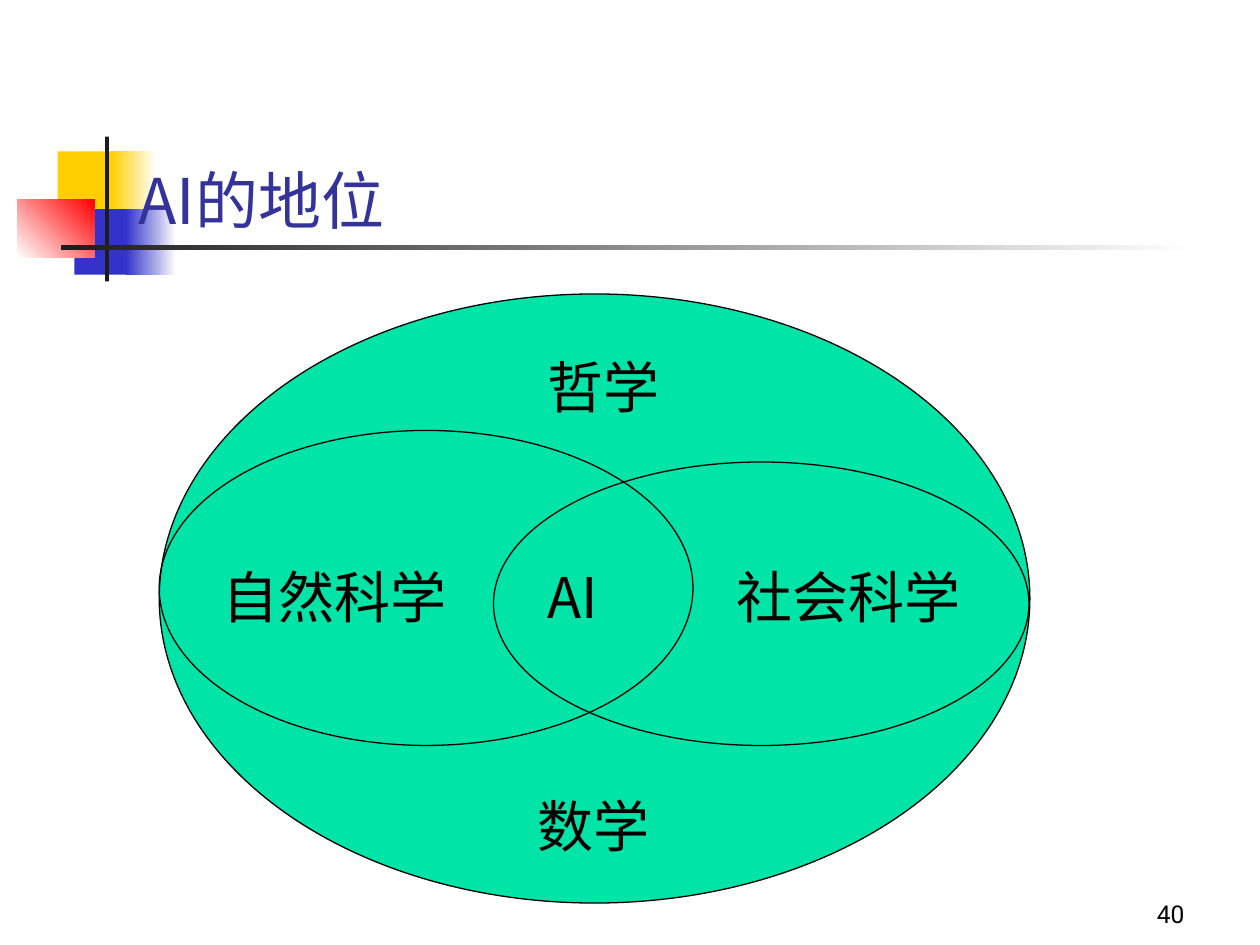
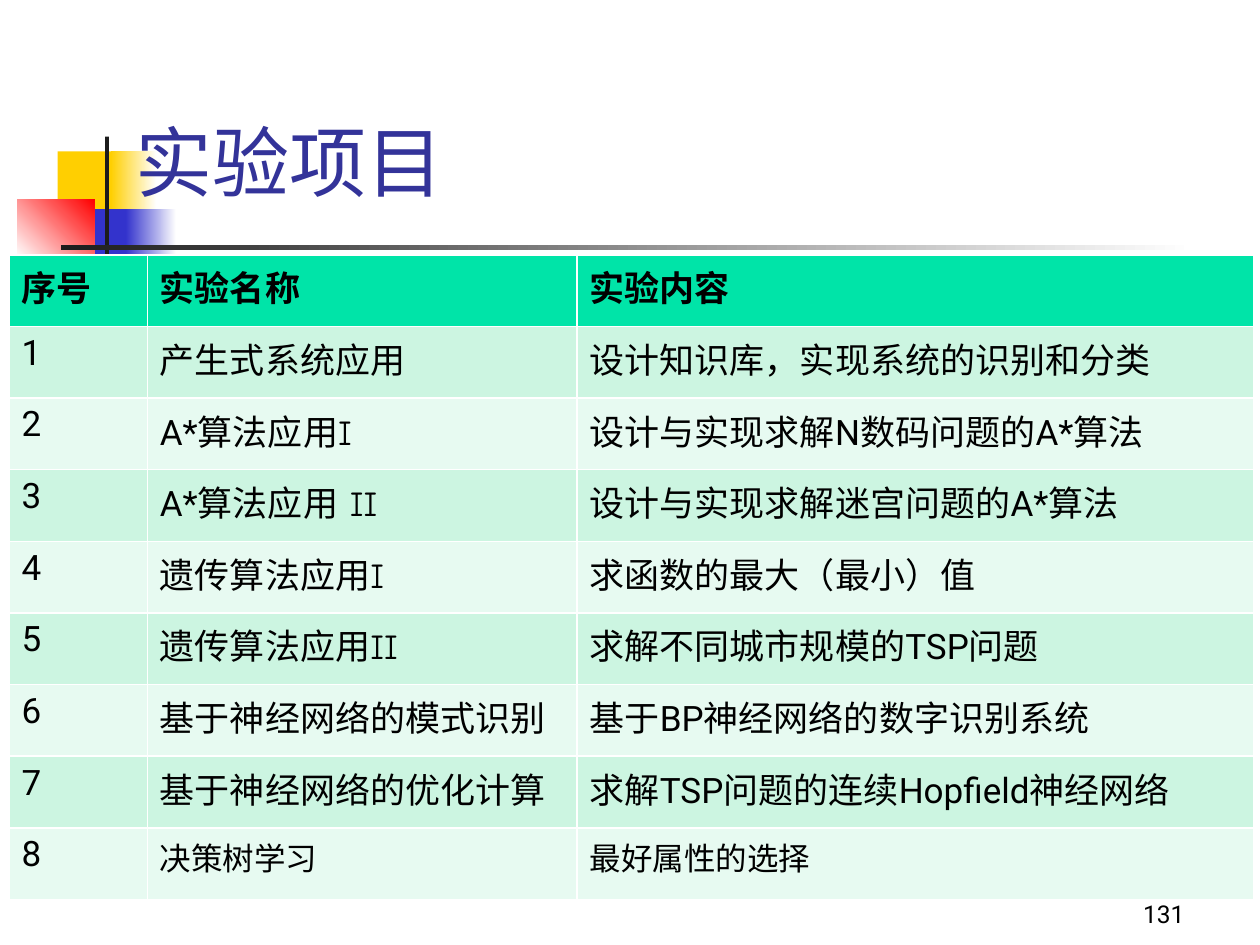
from lxml import etree
from pptx import Presentation
from pptx.dml.color import RGBColor
from pptx.enum import shapes, text
from pptx.oxml import ns
from pptx.util import Pt

COLORS = {
    "gold": "FFCF01", "blue": "3333CC", "red": "FF0000", "ink": "1C1C1C",
    "white": "FFFFFF", "black": "000000", "title": "333399",
    "green": "00E4A8", "odd row": "CCF5E1", "even row": "E7FAF1",
}
LATIN, CHINESE, NUMERAL = "Roboto", "Noto Sans CJK JP", "Comic Neue"
TITLE_ONLY = 5

# left, top, width, height, colours (two make a gradient), gradient angle
ORNAMENT = [
    (33, 86.5, 34.5, 37.5, ["gold"], 0),
    (63.4, 86.5, 26, 37.5, ["gold", "white"], 0),
    (42.5, 119.5, 33, 37.5, ["blue"], 0),
    (72, 119.5, 28.8, 37.5, ["blue", "white"], 0),
    (10, 113.8, 44, 33.2, ["white", "red"], 45),
    (60, 78, 2.3, 82.8, ["ink"], 0),
    (34.6, 140.2, 648, 2.4, ["ink", "white"], 0),
]

FIELD_OVALS = [
    (91, 168, 497.5, 348, "green"),
    (91, 246, 305, 180, None),
    (282, 264, 306, 162, None),
]
FIELD_LABELS = [
    ("自然科学", 120, 318, 162, LATIN),
    ("社会科学", 414, 318, 150, LATIN),
    ("哲学", 306, 198, 90, LATIN),
    ("数学", 300, 448.5, 114, LATIN),
    ("AI", 306, 318, 60, CHINESE),
]

COLUMN_WIDTHS = (79, 245.6, 386.8)
ROW_HEIGHT = 40.96
HEADINGS = ("序号", "实验名称", "实验内容")
# name, numeral after the name, content, text size
EXPERIMENTS = [
    ("产生式系统应用", "", "设计知识库，实现系统的识别和分类", 20),
    ("A*算法应用", "I", "设计与实现求解N数码问题的A*算法", 20),
    ("A*算法应用", " II", "设计与实现求解迷宫问题的A*算法", 20),
    ("遗传算法应用", "I", "求函数的最大（最小）值", 20),
    ("遗传算法应用", "II", "求解不同城市规模的TSP问题", 20),
    ("基于神经网络的模式识别", "", "基于BP神经网络的数字识别系统", 20),
    ("基于神经网络的优化计算", "", "求解TSP问题的连续Hopfield神经网络", 20),
    ("决策树学习", "", "最好属性的选择", 18),
]


def color(name):
    return RGBColor.from_string(COLORS[name])


def points(*lengths):
    return [Pt(length) for length in lengths]


def add_span(para, words, size, font=LATIN, ink="black", bold=False):
    span = para.add_run()
    span.text = words
    span.font.size = Pt(size)
    span.font.name = font
    span.font.bold = bold
    span.font.color.rgb = color(ink)
    east_asian = etree.SubElement(span.font._element, ns.qn("a:ea"))
    east_asian.set("typeface", CHINESE if font == LATIN else font)


def add_ornament(page):
    for left, top, width, height, fills, angle in ORNAMENT:
        block = page.shapes.add_shape(shapes.MSO_SHAPE.RECTANGLE, *points(left, top, width, height))
        block.shadow.inherit = False
        block.line.fill.background()
        if len(fills) == 1:
            block.fill.solid()
            block.fill.fore_color.rgb = color(fills[0])
        else:
            block.fill.gradient()
            block.fill.gradient_angle = angle
            for stop, name in zip(block.fill.gradient_stops, fills):
                stop.color.rgb = color(name)


def set_title(page, words, frame, size, font):
    title = page.shapes.title
    title.left, title.top, title.width, title.height = points(*frame)
    title.element.getparent().append(title.element)  # in front of the ornament
    title.text_frame.auto_size = text.MSO_AUTO_SIZE.NONE
    title.text_frame.vertical_anchor = text.MSO_ANCHOR.BOTTOM
    para = title.text_frame.paragraphs[0]
    para.alignment = text.PP_ALIGN.LEFT
    add_span(para, words, size, font, "title")


def add_text(page, words, frame, size, font=LATIN):
    box = page.shapes.add_textbox(*points(*frame))
    box.text_frame.word_wrap = True
    add_span(box.text_frame.paragraphs[0], words, size, font)
    return box.text_frame


def add_page_number(page, number):
    frame = add_text(page, str(number), (534, 498, 150, 36), 14)
    frame.vertical_anchor = text.MSO_ANCHOR.BOTTOM
    frame.paragraphs[0].alignment = text.PP_ALIGN.RIGHT


def add_page(deck, number, title, frame, size, font=LATIN):
    page = deck.slides.add_slide(deck.slide_layouts[TITLE_ONLY])
    add_ornament(page)
    set_title(page, title, frame, size, font)
    add_page_number(page, number)
    return page


def add_oval(page, left, top, width, height, fill):
    oval = page.shapes.add_shape(shapes.MSO_SHAPE.OVAL, *points(left, top, width, height))
    oval.shadow.inherit = False
    oval.line.color.rgb = color("black")
    oval.line.width = Pt(0.75)
    if fill:
        oval.fill.solid()
        oval.fill.fore_color.rgb = color(fill)
    else:
        oval.fill.background()


def add_field_diagram(page):
    for oval in FIELD_OVALS:
        add_oval(page, *oval)
    for words, left, top, width, font in FIELD_LABELS:
        frame = add_text(page, words, (left, top, width, 45.5), 32, font)
        frame.auto_size = text.MSO_AUTO_SIZE.SHAPE_TO_FIT_TEXT


def fill_cell(cell, fill, words, size=20, numeral="", bold=False):
    cell.fill.solid()
    cell.fill.fore_color.rgb = color(fill)
    para = cell.text_frame.paragraphs[0]
    add_span(para, words, size, bold=bold)
    if numeral:
        add_span(para, numeral, size, NUMERAL)


def add_experiment_table(page):
    row_count = len(EXPERIMENTS) + 1
    table = page.shapes.add_table(
        row_count, len(HEADINGS),
        *points(5.2, 145.6, sum(COLUMN_WIDTHS), ROW_HEIGHT * row_count)).table
    for column, width in zip(table.columns, COLUMN_WIDTHS):
        column.width = Pt(width)
    for row in table.rows:
        row.height = Pt(ROW_HEIGHT)
    for index, heading in enumerate(HEADINGS):
        fill_cell(table.cell(0, index), "green", heading, bold=True)
    for number, (name, numeral, content, size) in enumerate(EXPERIMENTS, 1):
        fill = "odd row" if number % 2 else "even row"
        fill_cell(table.cell(number, 0), fill, str(number))
        fill_cell(table.cell(number, 1), fill, name, size, numeral)
        fill_cell(table.cell(number, 2), fill, content, size)


def main():
    deck = Presentation()
    deck.slide_width, deck.slide_height = points(720, 540)
    add_field_diagram(add_page(deck, 40, "AI的地位", (72, 49, 632, 90), 36, CHINESE))
    add_experiment_table(add_page(deck, 131, "实验项目", (70.5, 31.7, 613.5, 90), 44))
    deck.save("out.pptx")


if __name__ == "__main__":
    main()
